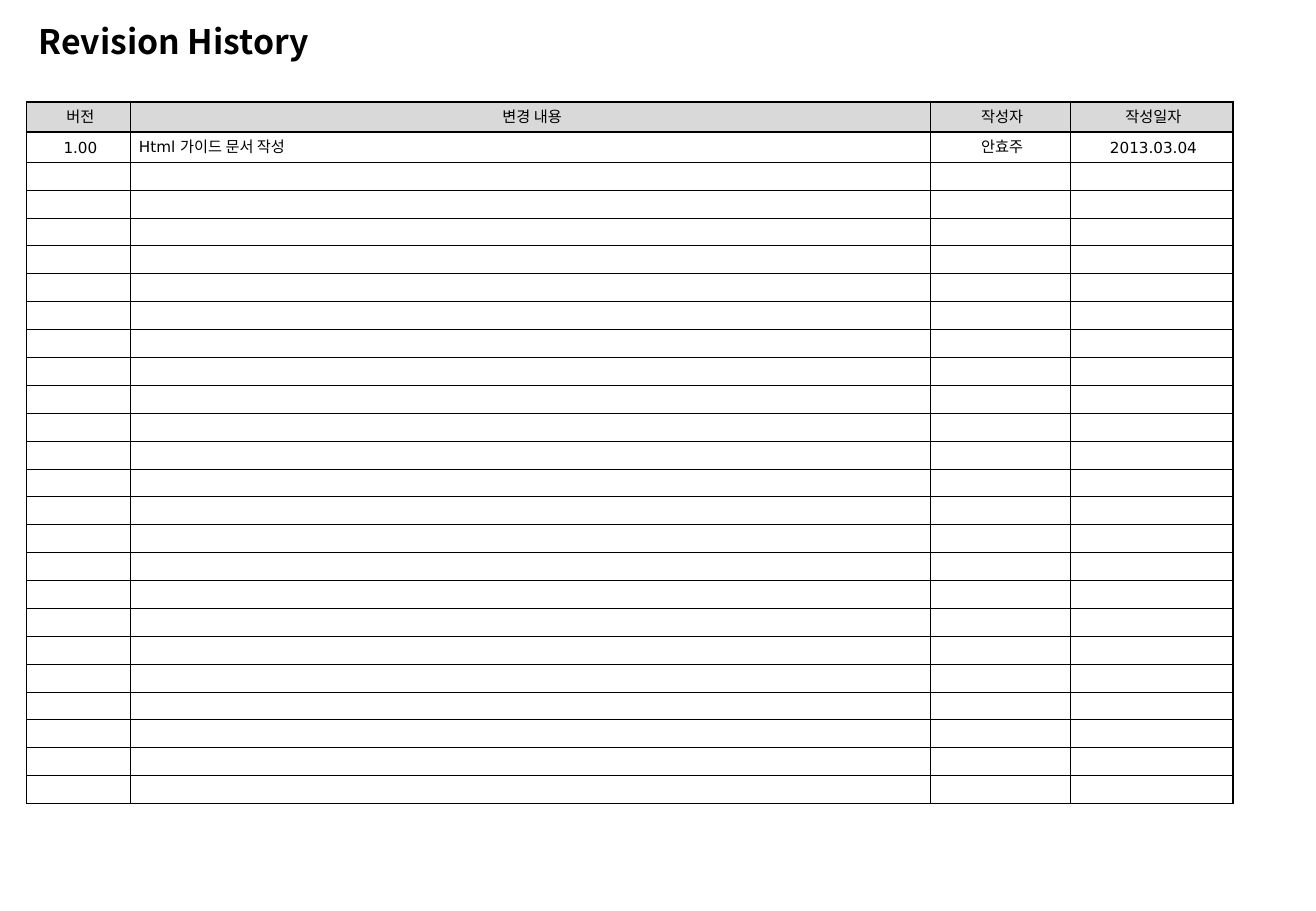
from typing import NamedTuple

from lxml.etree import SubElement as Sub
from pptx import Presentation
from pptx.dml.color import RGBColor as Rgb
from pptx.enum.text import MSO_ANCHOR as Anchor, PP_ALIGN as Align
from pptx.oxml.ns import qn
from pptx.util import Pt

HUES = {"ink": "000000", "head": "D9D9D9", "page": "FFFFFF"}
LATIN, HANGUL = "DejaVu Sans", "Noto Sans CJK KR"
LEFT, TOP = 15.84, 60.48
ROWS = 25
TALL, SHORT = 17.78, 16.53
THICK, THIN = 1, 0.25
PAD, INDENT = 2.88, 2.16


class Column(NamedTuple):
    width: float
    head: str
    entry: str
    align: Align


COLUMNS = [
    Column(61.5, "버전", "1.00", Align.CENTER),
    Column(474, "변경 내용", "Html 가이드 문서 작성", Align.LEFT),
    Column(83, "작성자", "안효주", Align.CENTER),
    Column(96.5, "작성일자", "2013.03.04", Align.CENTER),
]


def add_edge(cell, side: str, width: float) -> None:
    line = Sub(cell._tc.get_or_add_tcPr(), qn(f"a:{side}"), w=str(Pt(width)))
    fill = Sub(line, qn("a:solidFill"))
    Sub(fill, qn("a:srgbClr"), val=HUES["ink"])


def frame_cell(cell, row: int, col: int) -> None:
    last = len(COLUMNS) - 1
    edges = {
        "lnL": col == 0,
        "lnR": col == last,
        "lnT": row <= 1,
        "lnB": row == 0,
    }
    for side, bold in edges.items():
        add_edge(cell, side, THICK if bold else THIN)
    # The fill goes after the borders
    cell.fill.solid()
    cell.fill.fore_color.rgb = Rgb.from_string(HUES["page" if row else "head"])


def write_cell(cell, text: str, align: Align) -> None:
    cell.vertical_anchor = Anchor.MIDDLE
    cell.margin_left = cell.margin_right = Pt(PAD)
    cell.margin_top = cell.margin_bottom = Pt(PAD if text else 0)
    cell.text_frame.text = text
    par = cell.text_frame.paragraphs[0]
    par.alignment = align
    par.line_spacing = Pt(12)
    par._p.get_or_add_pPr().set("marL", str(Pt(INDENT)))
    for run in par.runs:
        run.font.size = Pt(9)
        run.font.name = LATIN
        run.font.color.rgb = Rgb.from_string(HUES["ink"])
        Sub(run._r.get_or_add_rPr(), qn("a:ea"), typeface=HANGUL)
    if not text:
        Sub(par._p, qn("a:endParaRPr"), sz="900")


def add_title(slide, text: str) -> None:
    box = slide.shapes.add_textbox(Pt(LEFT), Pt(11.5), Pt(638), Pt(39.6))
    frame = box.text_frame
    frame.word_wrap = True
    frame.text = text
    par = frame.paragraphs[0]
    par.line_spacing = 0.9
    font = par.runs[0].font
    font.size, font.bold, font.name = Pt(20), True, HANGUL
    font.color.rgb = Rgb.from_string(HUES["ink"])


def add_log(slide) -> None:
    heights = [TALL] * 2 + [SHORT] * (ROWS - 2)
    width = sum(column.width for column in COLUMNS)
    table = slide.shapes.add_table(
        ROWS, len(COLUMNS), Pt(LEFT), Pt(TOP), Pt(width), Pt(sum(heights))
    ).table
    table.first_row = table.horz_banding = False
    for row, height in enumerate(heights):
        table.rows[row].height = Pt(height)
    for col, column in enumerate(COLUMNS):
        table.columns[col].width = Pt(column.width)
        for row in range(ROWS):
            cell = table.cell(row, col)
            text = {0: column.head, 1: column.entry}.get(row, "")
            write_cell(cell, text, column.align if row else Align.CENTER)
            frame_cell(cell, row, col)


# Page
deck = Presentation()
deck.slide_width, deck.slide_height = Pt(780), Pt(540)
page = deck.slides.add_slide(deck.slide_layouts[6])

# Revision table and title
add_log(page)
add_title(page, "Revision History")

deck.save("out.pptx")
